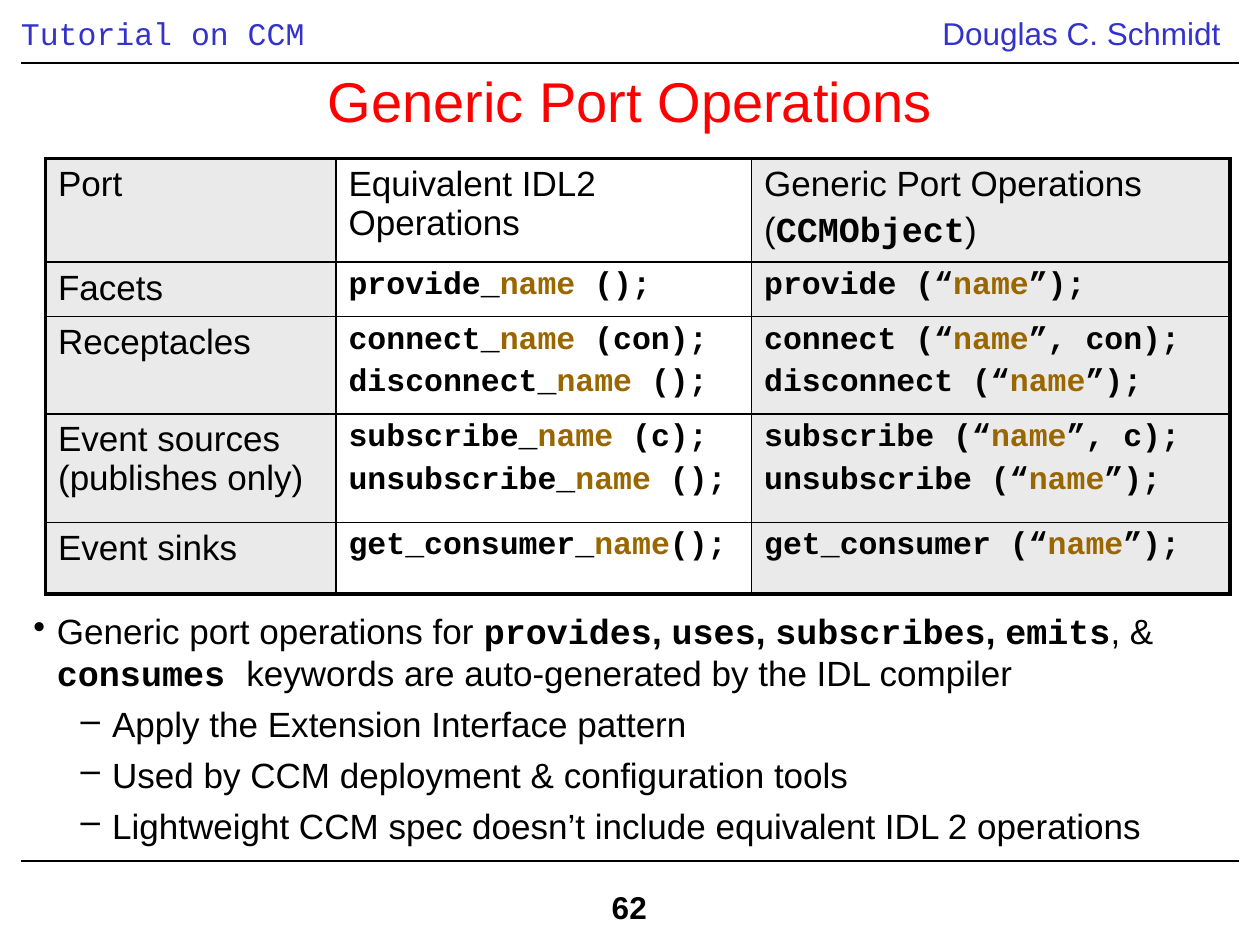
import pptx
import pptx.dml.color
import pptx.enum.shapes
import pptx.enum.text
import pptx.oxml
import pptx.oxml.ns
import pptx.util
from lxml import etree

Pt = pptx.util.Pt
RGB = pptx.dml.color.RGBColor.from_string
ALIGN = pptx.enum.text.PP_ALIGN
ANCHOR = pptx.enum.text.MSO_ANCHOR
qn = pptx.oxml.ns.qn
COLORS = {"black": "000000", "white": "FFFFFF", "blue": "3333CC",
          "red": "FF0000", "gold": "996600", "gray": "EAEAEA"}
MONO = "Courier New"


def write(tf, text, size=20, font="Arial", color="black", bold=False,
          align=ALIGN.LEFT, before=4, alt=None, bullets=None):
    tf.word_wrap = True
    for i, line in enumerate(text.split("\n")):
        p = tf.paragraphs[0] if i == 0 else tf.add_paragraph()
        if bullets:
            char, left, hang = bullets[min(i, len(bullets) - 1)]
            pPr = p._p.get_or_add_pPr()
            pPr.set("marL", str(Pt(left)))
            pPr.set("indent", str(-Pt(hang)))
            etree.SubElement(pPr, qn("a:buChar")).set("char", char)
            p.level = min(i, 1)
        p.alignment = align
        p.space_before = Pt(before if i else 0)
        for j, part in enumerate(line.split("|")):
            if part == "\v":
                p.add_line_break()
                continue
            fmt = {"font": font, "color": color, "bold": bold}
            if j % 2:
                fmt.update(alt or {})
            r = p.add_run()
            r.text = part
            r.font.size = Pt(size)
            r.font.name = fmt["font"]
            r.font.bold = fmt["bold"]
            r.font.color.rgb = RGB(COLORS[fmt["color"]])


prs = pptx.Presentation()
prs.slide_width, prs.slide_height = Pt(720), Pt(540)
s = prs.slides.add_slide(prs.slide_layouts[6])

for y in (36, 492):
    sp = s.shapes.add_connector(pptx.enum.shapes.MSO_CONNECTOR.STRAIGHT, Pt(12), Pt(y), Pt(708), Pt(y))
    sp.line.color.rgb = RGB(COLORS["black"])
    sp.line.width = Pt(0.75)
    etree.SubElement(sp._element.spPr, qn("a:effectLst"))

sp = s.shapes.add_textbox(Pt(12), Pt(4.5), Pt(426), Pt(29))
sp.text_frame.margin_left = sp.text_frame.margin_right = 0
write(sp.text_frame, "Tutorial on CCM", size=18, font=MONO, color="blue")

sp = s.shapes.add_textbox(Pt(528), Pt(4.5), Pt(180), Pt(29))
write(sp.text_frame, "Douglas C. Schmidt", size=18, color="blue", align=ALIGN.CENTER)

sp = s.shapes.add_shape(pptx.enum.shapes.MSO_SHAPE.RECTANGLE, Pt(342.5), Pt(504), Pt(36.5), Pt(29))
sp.shadow.inherit = False
sp.fill.solid()
sp.fill.fore_color.rgb = RGB(COLORS["white"])
sp.line.fill.background()
sp.text_frame.vertical_anchor = ANCHOR.TOP
write(sp.text_frame, "62", size=18, bold=True)
sp.text_frame.word_wrap = False

sp = s.shapes.add_textbox(Pt(12), Pt(42), Pt(696), Pt(30))
sp.text_frame.vertical_anchor = ANCHOR.MIDDLE
write(sp.text_frame, "Generic Port Operations", size=32, color="red", align=ALIGN.CENTER)

rows = [
    ("Port", "Equivalent IDL2 Operations", "Generic Port Operations\n(|CCMObject|)"),
    ("Facets", "provide_|name| ();", "provide (“|name|”);"),
    ("Receptacles", "connect_|name| (con);\ndisconnect_|name| ();",
     "connect (“|name|”, con);\ndisconnect (“|name|”);"),
    ("Event sources|\v|(publishes only)", "subscribe_|name| (c);\nunsubscribe_|name| ();",
     "subscribe (“|name|”, c);\nunsubscribe (“|name|”);"),
    ("Event sinks", "get_consumer_|name|();", "get_consumer (“|name|”);"),
]
widths = [166, 237.5, 273.5]
heights = [57.5, 29.5, 55.5, 62, 41]
tbl = s.shapes.add_table(len(rows), len(widths), Pt(26), Pt(90.5), Pt(sum(widths)), Pt(sum(heights))).table
tbl.first_row = tbl.horz_banding = False
for col, width in zip(tbl.columns, widths):
    col.width = Pt(width)
for row, height in zip(tbl.rows, heights):
    row.height = Pt(height)

for i, row in enumerate(rows):
    for j, text in enumerate(row):
        cell = tbl.cell(i, j)
        outer = {"L": j == 0, "R": j == len(widths) - 1, "T": i == 0, "B": i == len(rows) - 1}
        tcPr = cell._tc.get_or_add_tcPr()
        for side, edge in outer.items():
            ln = etree.SubElement(tcPr, qn(f"a:ln{side}"), w=str(Pt(2.25 if edge else 1)))
            fill = etree.SubElement(ln, qn("a:solidFill"))
            etree.SubElement(fill, qn("a:srgbClr"), val=COLORS["black"])
        cell.fill.solid()
        cell.fill.fore_color.rgb = RGB(COLORS["white" if j == 1 else "gray"])
        if i and j:
            write(cell.text_frame, text, size=18, font=MONO, bold=True, alt={"color": "gold"})
        else:
            write(cell.text_frame, text, alt={"font": MONO, "bold": True})

sp = s.shapes.add_textbox(Pt(12), Pt(345), Pt(690), Pt(147.5))
write(sp.text_frame,
      "Generic port operations for |provides|, |uses|, |subscribes|, |emits|, & |consumes |"
      "keywords are auto-generated by the IDL compiler\n"
      "Apply the Extension Interface pattern\n"
      "Used by CCM deployment & configuration tools\n"
      "Lightweight CCM spec doesn’t include equivalent IDL 2 operations",
      before=5, alt={"font": MONO, "bold": True},
      bullets=[("•", 13.5, 13.5), ("–", 45, 18)])
for r in sp.text_frame.paragraphs[0].runs[1:8]:
    r.font.bold = True

prs.save("out.pptx")
